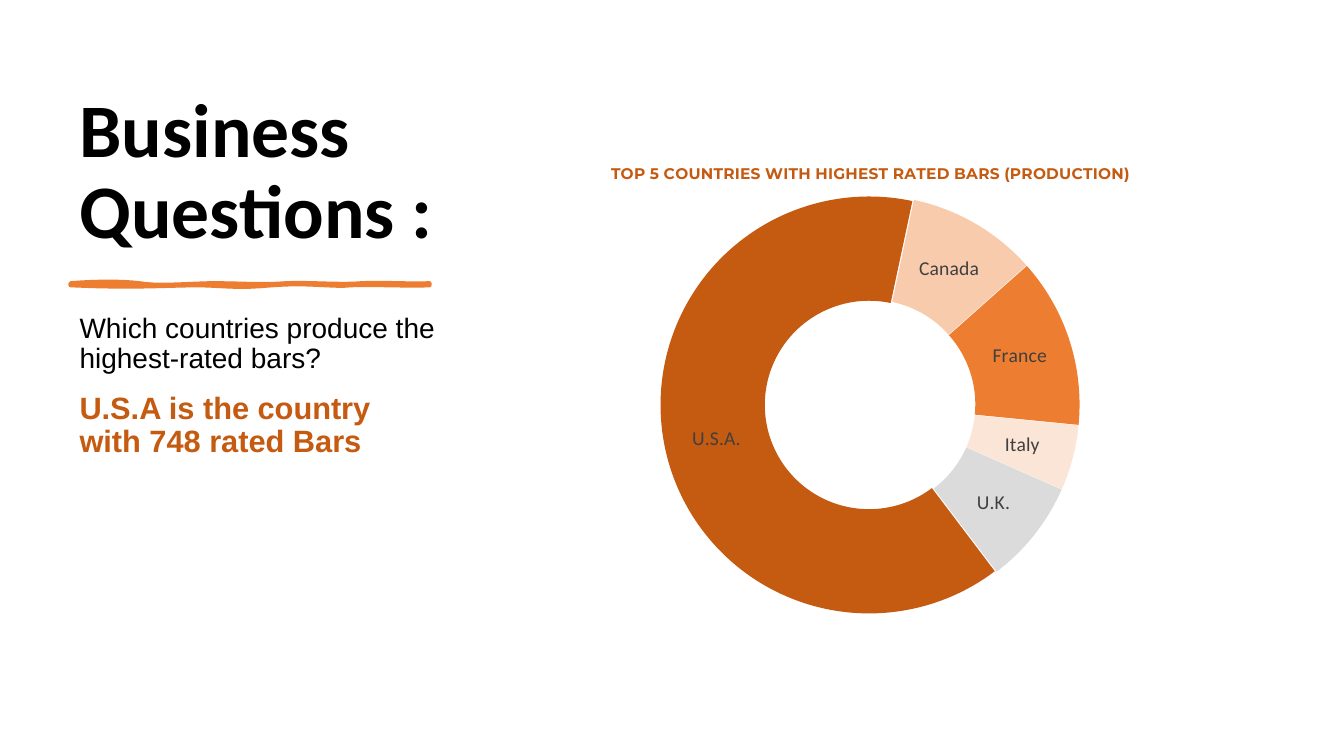
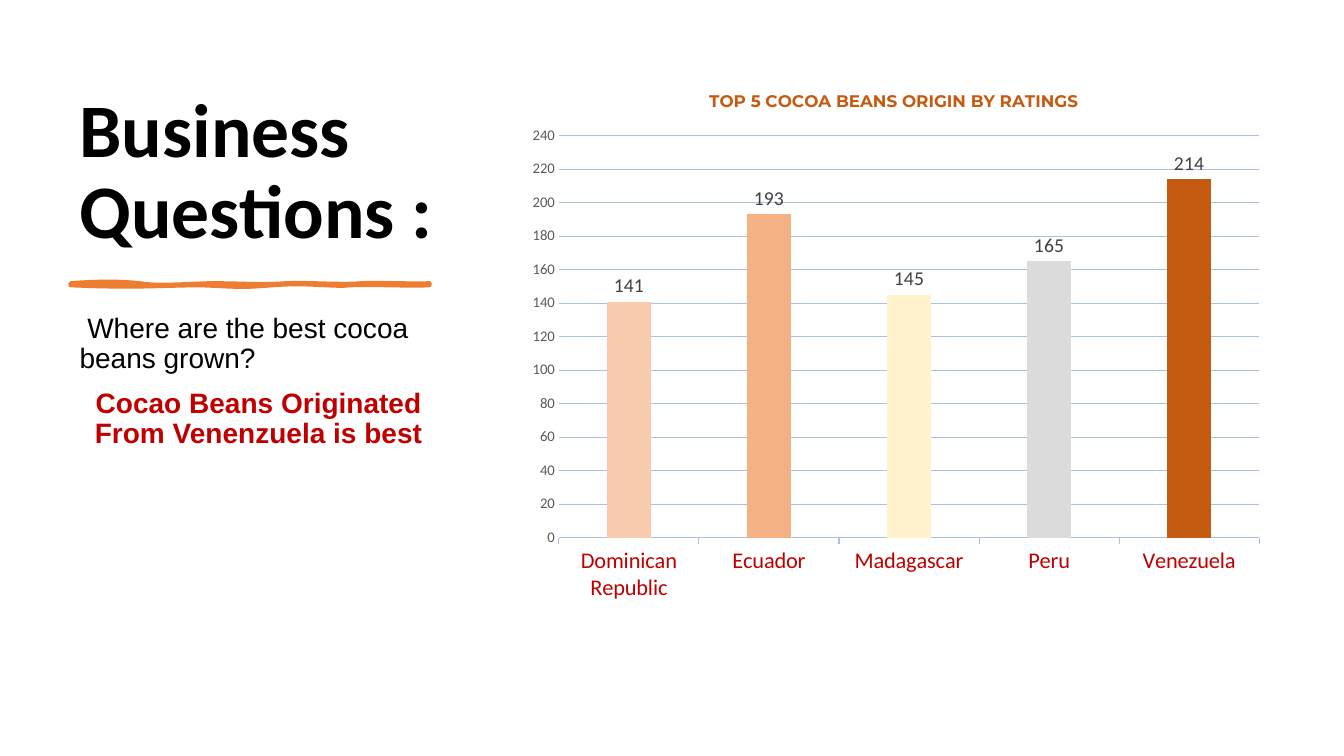
from lxml.etree import SubElement
from pptx import Presentation
from pptx.chart.data import CategoryChartData
from pptx.dml.color import RGBColor
from pptx.enum.chart import XL_CHART_TYPE as ChartType
from pptx.enum.chart import XL_LABEL_POSITION as LabelPosition
from pptx.enum.chart import XL_TICK_MARK as Tick
from pptx.enum.text import MSO_ANCHOR as Anchor
from pptx.enum.text import PP_ALIGN as Align
from pptx.oxml import parse_xml
from pptx.oxml.ns import nsdecls, qn
from pptx.util import Inches, Pt

COLORS = {
    "ink": "000000", "accent": "ED7D31", "rust": "C55A11", "red": "C00000",
    "peach": "F8CBAD", "apricot": "F4B183", "blush": "FBE5D6",
    "cream": "FFF2CC", "silver": "DBDBDB", "label": "404040",
    "scale": "595959", "grid": "ABC0E4",
}
LEFT, COLUMN_WIDTH = 0.69, 3.75
STROKE_START = (0.7, 2.81)
STROKE_CURVES = [
    [(0.97, 2.79), (1.21, 2.79), (1.38, 2.81)],
    [(1.55, 2.84), (1.77, 2.82), (2.09, 2.81)],
    [(2.41, 2.81), (2.6, 2.83), (2.84, 2.81)],
    [(3.08, 2.8), (3.39, 2.83), (3.59, 2.81)],
    [(3.79, 2.8), (4.12, 2.82), (4.26, 2.81)],
    [(4.26, 2.82), (4.26, 2.83), (4.26, 2.83)],
    [(4.08, 2.84), (3.64, 2.82), (3.48, 2.83)],
    [(3.32, 2.85), (3.04, 2.8), (2.7, 2.83)],
    [(2.35, 2.86), (2.31, 2.84), (1.99, 2.83)],
    [(1.66, 2.83), (1.32, 2.86), (0.7, 2.83)],
]


def rgb(name):
    return RGBColor.from_string(COLORS[name])


def assign(target, values):
    for name, value in values.items():
        setattr(target, name, value)


def curve_points(start, curves, steps=8):
    for first, second, end in curves:
        for step in range(1, steps + 1):
            t = step / steps
            weights = ((1 - t) ** 3, 3 * t * (1 - t) ** 2, 3 * t ** 2 * (1 - t), t ** 3)
            corners = (start, first, second, end)
            yield tuple(sum(w * c[axis] for w, c in zip(weights, corners)) for axis in (0, 1))
        start = end


class Deck:
    def __init__(self):
        self.show = Presentation()
        assign(self.show, {"slide_width": Inches(13.33), "slide_height": Inches(7.5)})
        self.slide = None

    def style_font(self, font, size, color, bold=False, name="Calibri"):
        assign(font, {"size": Pt(size), "bold": bold, "name": name})
        font.color.rgb = rgb(color)

    def style_line(self, line, color, width):
        line.color.rgb = rgb(color)
        line.width = Pt(width)

    def text(self, top, height, paragraphs, anchor=Anchor.TOP):
        box = self.slide.shapes.add_textbox(
            Inches(LEFT), Inches(top), Inches(COLUMN_WIDTH), Inches(height))
        frame = box.text_frame
        assign(frame, {"word_wrap": True, "vertical_anchor": anchor})
        for index, (words, font, spacing) in enumerate(paragraphs):
            paragraph = frame.add_paragraph() if index else frame.paragraphs[0]
            assign(paragraph, {"line_spacing": 0.9, **spacing})
            run = paragraph.add_run()
            run.text = words
            self.style_font(run.font, **font)

    def brush_stroke(self):
        builder = self.slide.shapes.build_freeform(
            *(Inches(value) for value in STROKE_START), scale=1.0)
        builder.add_line_segments(
            [(Inches(x), Inches(y)) for x, y in curve_points(STROKE_START, STROKE_CURVES)],
            close=True)
        stroke = builder.convert_to_shape()
        stroke.shadow.inherit = False
        stroke.fill.solid()
        stroke.fill.fore_color.rgb = rgb("accent")
        self.style_line(stroke.line, "accent", 3)

    def question(self, paragraphs):
        self.slide = self.show.slides.add_slide(self.show.slide_layouts[6])
        heading = {"size": 54, "color": "ink", "bold": True}
        self.text(0.7, 1.88, [("Business Questions :", heading, {})], Anchor.BOTTOM)
        self.brush_stroke()
        self.text(3.07, 3.73, paragraphs)

    def place(self, parent, index, inner=False, **fractions):
        for old in parent.findall(qn("c:layout")):
            parent.remove(old)
        layout = parse_xml(f"<c:layout {nsdecls('c')}><c:manualLayout/></c:layout>")
        settings = {"layoutTarget": "inner"} if inner else {}
        settings.update(xMode="edge", yMode="edge", **fractions)
        for tag, value in settings.items():
            SubElement(layout[0], qn(f"c:{tag}")).set("val", str(value))
        parent.insert(index, layout)

    def chart(self, kind, box, title, title_size, values, plot_area, labels):
        data = CategoryChartData()
        data.categories = list(values)
        data.add_series("Series 1", [value for value, _ in values.values()])
        chart = self.slide.shapes.add_chart(kind, *(Inches(side) for side in box), data).chart
        self.style_font(chart.font, 10, "ink")
        assign(chart, {"has_legend": False, "has_title": True})
        heading = chart.chart_title.text_frame.paragraphs[0].add_run()
        heading.text = title
        self.style_font(heading.font, title_size, "rust", True, "Montserrat")
        plot = chart.plots[0]
        assign(plot, {"vary_by_categories": False, "has_data_labels": True})
        assign(plot.data_labels, labels)
        self.style_font(plot.data_labels.font, 14, "label")
        for index, (_, color) in enumerate(values.values()):
            part = plot.series[0].points[index].format
            part.fill.solid()
            part.fill.fore_color.rgb = rgb(color)
            part.line.fill.background()
        self.place(chart._chartSpace.xpath("c:chart/c:plotArea")[0], 0, True, **plot_area)
        return chart

    def doughnut(self, title_place, hole, start, explode, **content):
        space = self.chart(ChartType.DOUGHNUT, **content)._chartSpace
        self.place(space.xpath("c:chart/c:title")[0], 1, **title_place)
        for tag, value in {"holeSize": hole, "firstSliceAng": start}.items():
            space.xpath(f".//c:{tag}")[0].set("val", str(value))
        space.xpath(".//c:dPt")[0].addprevious(
            parse_xml(f'<c:explosion {nsdecls("c")} val="{explode}"/>'))

    def columns(self, gap, overlap, top_value, step, **content):
        chart = self.chart(ChartType.COLUMN_CLUSTERED, **content)
        assign(chart.plots[0], {"gap_width": gap, "overlap": overlap})
        origins, scale = chart.category_axis, chart.value_axis
        assign(origins, {"major_tick_mark": Tick.OUTSIDE, "minor_tick_mark": Tick.NONE})
        self.style_font(origins.tick_labels.font, 16, "red")
        self.style_line(origins.format.line, "grid", 0.75)
        assign(scale, {
            "minimum_scale": 0, "maximum_scale": top_value, "major_unit": step,
            "major_tick_mark": Tick.NONE, "minor_tick_mark": Tick.NONE,
            "has_major_gridlines": True})
        self.style_font(scale.tick_labels.font, 10.5, "scale")
        scale.format.line.fill.background()
        self.style_line(scale.major_gridlines.format.line, "grid", 0.75)


asked = {"size": 20, "color": "ink", "name": "Arial"}
answered = {"bold": True, "name": "Arial"}
deck = Deck()

deck.question([
    ("Which countries produce the highest-rated bars?", asked,
     {"space_before": Pt(3), "space_after": Pt(3)}),
    ("U.S.A is the country with 748 rated Bars",
     {**answered, "size": 22, "color": "rust"}, {"space_before": Pt(10)}),
])
deck.doughnut(
    title_place={"x": 0.19, "y": 0.04}, hole=54, start=12, explode=1,
    box=(4.44, 1.38, 8.38, 5.07),
    title="TOP 5 COUNTRIES WITH HIGHEST RATED BARS (PRODUCTION)", title_size=11,
    values={"Canada": (10, "peach"), "France": (13, "accent"), "Italy": (5, "blush"),
            "U.K.": (8, "silver"), "U.S.A.": (63, "rust")},
    plot_area={"x": 0.25, "y": 0.11, "w": 0.5, "h": 0.82},
    labels={"show_category_name": True, "show_value": False, "show_percentage": False})

deck.question([
    (" Where are the best cocoa beans grown?", asked, {"space_before": Pt(10)}),
    ("Cocao Beans Originated From Venenzuela is best",
     {**answered, "size": 20, "color": "red"},
     {"space_before": Pt(10), "alignment": Align.CENTER}),
])
deck.columns(
    gap=219, overlap=-27, top_value=240, step=20,
    box=(5.09, 0.7, 7.55, 5.39),
    title="TOP 5 COCOA BEANS ORIGIN BY RATINGS", title_size=12,
    values={"Dominican Republic": (141, "peach"), "Ecuador": (193, "apricot"),
            "Madagascar": (145, "cream"), "Peru": (165, "silver"),
            "Venezuela": (214, "rust")},
    plot_area={"x": 0.06, "y": 0.12, "w": 0.92, "h": 0.74},
    labels={"show_value": True, "position": LabelPosition.OUTSIDE_END})

deck.show.save("out.pptx")
